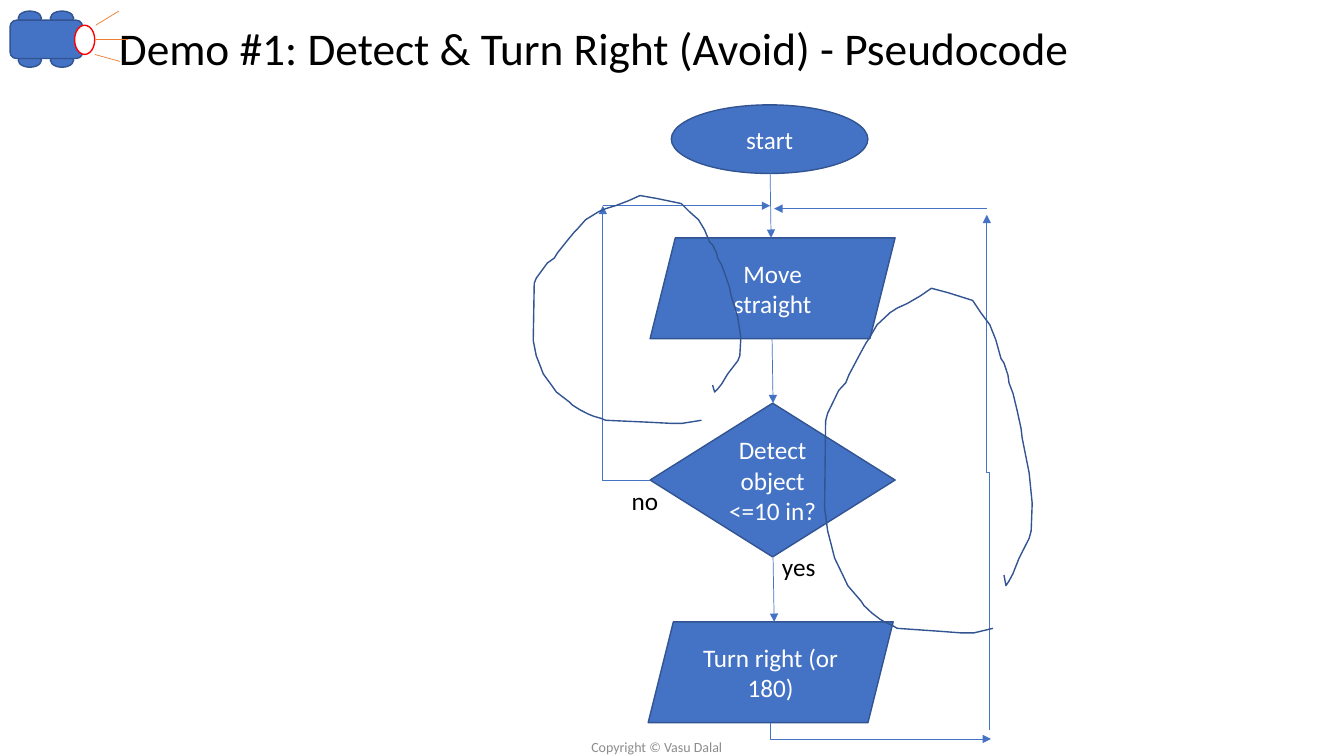
"""Build a flowchart slide for a robot that detects and avoids objects."""
import lxml.etree
import pptx
import pptx.dml.color
import pptx.enum.shapes
import pptx.enum.text
import pptx.oxml.ns
import pptx.util

Pt = pptx.util.Pt
RGBColor = pptx.dml.color.RGBColor
Shape = pptx.enum.shapes.MSO_SHAPE
Connector = pptx.enum.shapes.MSO_CONNECTOR
Align = pptx.enum.text.PP_ALIGN
Anchor = pptx.enum.text.MSO_ANCHOR
qn = pptx.oxml.ns.qn

BLUE = RGBColor(0x44, 0x72, 0xC4)
NAVY = RGBColor(0x32, 0x54, 0x91)
ORANGE = RGBColor(0xED, 0x7D, 0x31)
RED = RGBColor(0xFF, 0x00, 0x00)
GRAY = RGBColor(0x8C, 0x8C, 0x8C)
BLACK = RGBColor(0x00, 0x00, 0x00)
WHITE = RGBColor(0xFF, 0xFF, 0xFF)

LOOP_GRID = (207, 226)
LOOP_POINTS = [
    (167, 223), (148, 226), (136, 226), (116, 225), (72, 223), (67, 221),
    (60, 219), (55, 217), (47, 213), (39, 208), (36, 205), (23, 195),
    (18, 188), (10, 177), (5, 164), (3, 159), (0, 144), (1, 87), (3, 82),
    (14, 67), (21, 62), (24, 57), (36, 42), (41, 36), (44, 33), (52, 24),
    (65, 16), (72, 13), (82, 10), (95, 5), (106, 0), (123, 3), (147, 8),
    (155, 16), (164, 24), (170, 34), (175, 46), (178, 49), (182, 57),
    (183, 62), (187, 69), (191, 80), (195, 92), (196, 98), (203, 121),
    (206, 141), (205, 159), (203, 164), (193, 177), (187, 187),
    (183, 192), (180, 195), (178, 188),
]


class Painter:
    """Hold the style and the current slide, and draw each kind of element."""

    font = "Calibri"
    text_size = 18

    def __init__(self, page):
        self.page = page
        self.canvas = page.shapes

    def fill_text(self, frame, text, size, color, align):
        frame.text = text
        for para in frame.paragraphs:
            para.alignment = align
            para.font.name = self.font
            para.font.size = Pt(size)
            para.font.color.rgb = color

    def title(self, text, left, top, width, height):
        title = self.page.shapes.title
        title.left, title.top = Pt(left), Pt(top)
        title.width, title.height = Pt(width), Pt(height)
        frame = title.text_frame
        frame.auto_size = pptx.enum.text.MSO_AUTO_SIZE.NONE
        frame.vertical_anchor = Anchor.MIDDLE
        self.fill_text(frame, text, 32.4, BLACK, Align.CENTER)
        frame.paragraphs[0].line_spacing = 0.9

    def shape(self, kind, left, top, width, height, text="", fill=BLUE, outline=NAVY):
        shape = self.canvas.add_shape(kind, Pt(left), Pt(top), Pt(width), Pt(height))
        shape.shadow.inherit = False
        shape.fill.solid()
        shape.fill.fore_color.rgb = fill
        shape.line.color.rgb = outline
        shape.line.width = Pt(1)
        if text:
            shape.text_frame.vertical_anchor = Anchor.MIDDLE
            self.fill_text(shape.text_frame, text, self.text_size, WHITE, Align.CENTER)

    def label(self, text, left, top, width, height, size=text_size, color=BLACK,
              align=Align.LEFT, anchor=Anchor.TOP, wrap=True):
        box = self.canvas.add_textbox(Pt(left), Pt(top), Pt(width), Pt(height))
        box.text_frame.word_wrap = wrap
        box.text_frame.vertical_anchor = anchor
        self.fill_text(box.text_frame, text, size, color, align)

    def line(self, begin, end, color=BLUE, arrow=True, kind=Connector.STRAIGHT):
        line = self.canvas.add_connector(kind, *map(Pt, begin + end))
        line.line.color.rgb = color
        line.line.width = Pt(0.5)
        properties = line._element.spPr
        if arrow:
            lxml.etree.SubElement(properties.find(qn("a:ln")), qn("a:tailEnd"), type="triangle")
        lxml.etree.SubElement(properties, qn("a:effectLst"))
        return line

    def elbow(self, begin, end, bends, upright=False):
        if upright:
            middle_x, middle_y = (begin[0] + end[0]) / 2, (begin[1] + end[1]) / 2
            begin, end = (
                (middle_x - (y - middle_y), middle_y + (x - middle_x))
                for x, y in (begin, end)
            )
        elbow = self.line(begin, end, kind=Connector.ELBOW)
        properties = elbow._element.spPr
        properties.find(qn("a:prstGeom")).set("prst", f"bentConnector{bends + 1}")
        if upright:
            properties.find(qn("a:xfrm")).set("rot", str(270 * 60000))

    def loop(self, left, top, width, height):
        scale = (Pt(width) / LOOP_GRID[0], Pt(height) / LOOP_GRID[1])
        builder = self.canvas.build_freeform(*LOOP_POINTS[0], scale=scale)
        builder.add_line_segments(LOOP_POINTS[1:], close=False)
        loop = builder.convert_to_shape(Pt(left), Pt(top))
        loop.shadow.inherit = False
        loop.fill.background()
        loop.line.color.rgb = NAVY
        loop.line.width = Pt(1)

    def robot(self):
        self.canvas = self.page.shapes.add_group_shape().shapes
        for top in (38, 7.9):
            for left in (13, 36):
                self.shape(Shape.OVAL, left, top, 16.6, 10)
        self.shape(Shape.ROUNDED_RECTANGLE, 7.2, 14.4, 51.8, 27.4)
        self.shape(Shape.OVAL, 53.3, 18, 14.4, 20.9, fill=WHITE, outline=RED)
        beams = [((68.4, 18), (85, 7.9)), ((68.4, 28), (91.4, 28)), ((67.7, 38.9), (85.7, 43.9))]
        for begin, end in beams:
            self.line(begin, end, ORANGE, arrow=False)
        self.canvas = self.page.shapes


def main():
    deck = pptx.Presentation()
    deck.slide_width, deck.slide_height = Pt(960), Pt(540)
    painter = Painter(deck.slides.add_slide(deck.slide_layouts[5]))

    painter.title("Demo #1: Detect & Turn Right (Avoid) - Pseudocode", -87.8, -15.8, 1023.8, 104.4)

    painter.shape(Shape.OVAL, 479.5, 74.9, 140.4, 49, "start")
    painter.shape(Shape.PARALLELOGRAM, 464.4, 169.9, 175, 72, "Move\nstraight")
    painter.shape(Shape.DIAMOND, 464.4, 288, 175, 109.8, "Detect object\n<=10 in?")
    painter.shape(Shape.PARALLELOGRAM, 463, 444.2, 175, 72, "Turn right (or 180)")

    for begin, end in [
        ((550.1, 123.8), (550.8, 169.9)),
        ((551.5, 241.9), (552.2, 288)),
        ((552.2, 398.2), (553, 444.2)),
        ((430.6, 147), (550.1, 147)),
        ((704.9, 149), (553, 149)),
    ]:
        painter.line(begin, end)
    painter.elbow((464.4, 343.4), (430.6, 147), bends=1)
    painter.elbow((550.1, 516.2), (707.8, 527.8), bends=1, upright=True)
    painter.elbow((707, 521.3), (704.9, 153.4), bends=2, upright=True)

    painter.label("no", 444.2, 343.4, 33.8, 28.8, wrap=False)
    painter.label("yes", 551.5, 390.2, 47.5, 28.8)
    painter.loop(380.9, 139.7, 149, 162.7)
    painter.loop(589, 205.9, 149, 246.2)
    painter.label("Copyright © Vasu Dalal", 324.7, 526.3, 288.7, 13.7, 10, GRAY,
                  Align.CENTER, Anchor.MIDDLE)
    painter.robot()
    deck.save("out.pptx")


if __name__ == "__main__":
    main()
